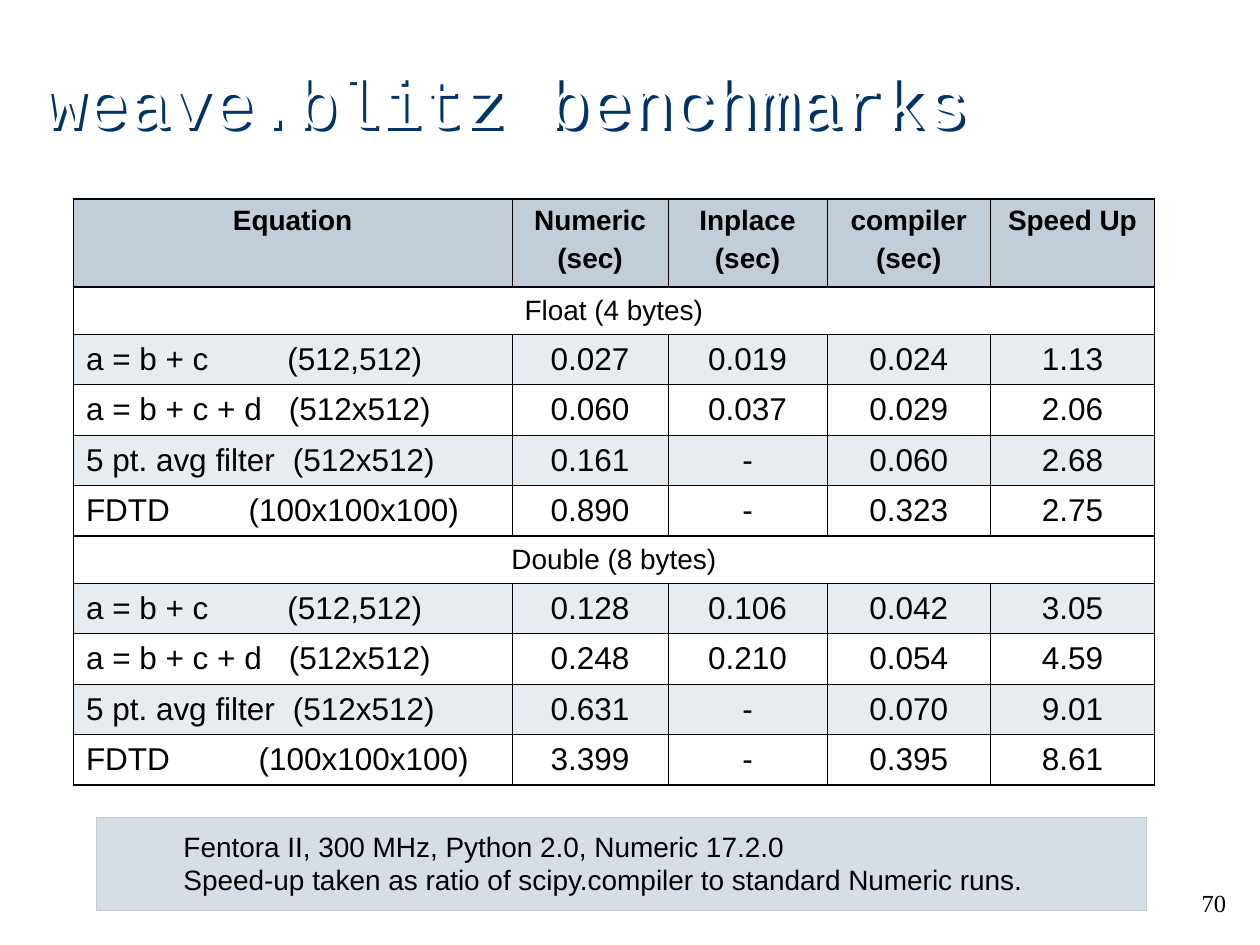
from lxml import etree
from pptx import Presentation
from pptx.dml.color import RGBColor
from pptx.enum.shapes import MSO_SHAPE
from pptx.enum.text import MSO_ANCHOR as Anchor, PP_ALIGN as Align
from pptx.oxml.ns import qn
from pptx.util import Cm, Pt

BLACK = RGBColor(0x00, 0x00, 0x00)
WHITE = RGBColor(0xFF, 0xFF, 0xFF)
NAVY = RGBColor(0x00, 0x33, 0x66)
STEEL = RGBColor(0xC1, 0xCE, 0xD7)
PALE = RGBColor(0xE7, 0xEC, 0xF0)

TITLE = "weave.blitz benchmarks"
HEAD = ["Equation", "Numeric\n(sec)", "Inplace\n(sec)", "compiler\n(sec)", "Speed Up"]
# Equation, array size, tab stop of the size in cm, then the four results
GROUPS = [
    ("Float (4 bytes)", [
        ("a = b + c", "(512,512)", 4.06, "0.027", "0.019", "0.024", "1.13"),
        ("a = b + c + d", "(512x512)", 4.09, "0.060", "0.037", "0.029", "2.06"),
        ("5 pt. avg filter", "(512x512)", 4.17, "0.161", "-", "0.060", "2.68"),
        ("FDTD", "(100x100x100)", 3.28, "0.890", "-", "0.323", "2.75"),
    ]),
    ("Double (8 bytes)", [
        ("a = b + c", "(512,512)", 4.06, "0.128", "0.106", "0.042", "3.05"),
        ("a = b + c + d", "(512x512)", 4.09, "0.248", "0.210", "0.054", "4.59"),
        ("5 pt. avg filter", "(512x512)", 4.17, "0.631", "-", "0.070", "9.01"),
        ("FDTD", "(100x100x100)", 3.48, "3.399", "-", "0.395", "8.61"),
    ]),
]
NOTE = ("Fentora II, 300 MHz, Python 2.0, Numeric 17.2.0\n"
        "Speed-up taken as ratio of scipy.compiler to standard Numeric runs.")
PAGE = "70"

COLS = [8.84, 3.15, 3.2, 3.3, 3.3]
HEAD_H, GROUP_H, ROW_H = 1.78, 0.94, 1.02
THIN, EDGE, RULE = 0.45, 1.08, 1.47


def style(frame, size, font="Arial", color=BLACK, align=Align.LEFT, bold=False):
    for i, para in enumerate(frame.paragraphs):
        para.alignment = align
        if i and align == Align.CENTER:
            para.space_before = Pt(4)
        for run in para.runs:
            run.font.size, run.font.name, run.font.bold = Pt(size), font, bold
            run.font.color.rgb = color


def add_text(slide, text, box, size, **look):
    shape = slide.shapes.add_textbox(*map(Cm, box))
    frame = shape.text_frame
    frame.word_wrap = True
    frame.text = text
    style(frame, size, **look)
    return shape


def add_shadow(shape, color):
    effects = etree.SubElement(shape._element.spPr, qn("a:effectLst"))
    shadow = etree.SubElement(effects, qn("a:outerShdw"), dist="36000",
                              dir="2700000", algn="ctr", rotWithShape="0")
    etree.SubElement(shadow, qn("a:srgbClr"), val=str(color))


def set_tab(para, pos):
    tabs = etree.SubElement(para._p.get_or_add_pPr(), qn("a:tabLst"))
    etree.SubElement(tabs, qn("a:tab"), pos=str(Cm(pos)), algn="l")


def set_border(cell, **widths):
    props = cell._tc.get_or_add_tcPr()
    for side in "LRTB":
        line = etree.SubElement(props, qn("a:ln" + side), w=str(Pt(widths[side])))
        fill = etree.SubElement(line, qn("a:solidFill"))
        etree.SubElement(fill, qn("a:srgbClr"), val=str(BLACK))


def add_table(slide):
    rows = [("head", HEAD)]
    for name, tests in GROUPS:
        rows.append(("group", [name] + [""] * 4))
        for i, (label, dims, tab, *values) in enumerate(tests):
            rows.append((("band", "plain")[i % 2], [f"{label}\t{dims}", *values], tab))
    heights = {"head": HEAD_H, "group": GROUP_H, "band": ROW_H, "plain": ROW_H}
    fills = {"head": STEEL, "band": PALE}
    kinds = [row[0] for row in rows]
    last = len(rows) - 1

    # Width of each horizontal rule, from the top edge to the bottom edge
    rules = [EDGE] + [RULE if "head" in pair or pair[1] == "group" else THIN
                      for pair in zip(kinds, kinds[1:])] + [EDGE]
    total = sum(heights[kind] for kind in kinds)
    table = slide.shapes.add_table(len(rows), len(COLS), Cm(1.48), Cm(4.01),
                                   Cm(sum(COLS)), Cm(total)).table
    table.first_row = table.horz_banding = False
    for col, width in zip(table.columns, COLS):
        col.width = Cm(width)

    for r, (kind, texts, *tab) in enumerate(rows):
        table.rows[r].height = Cm(heights[kind])
        for c, text in enumerate(texts):
            cell = table.cell(r, c)
            cell.text = text
            cell.vertical_anchor = Anchor.TOP if kind == "head" else Anchor.MIDDLE
            set_border(cell, L=THIN if c else EDGE,
                       R=EDGE if c == len(COLS) - 1 or kind == "group" else THIN,
                       T=rules[r], B=rules[r + 1])
            if kind in fills:
                cell.fill.solid()
                cell.fill.fore_color.rgb = fills[kind]
            else:
                cell.fill.background()
            if tab and c == 0:
                set_tab(cell.text_frame.paragraphs[0], tab[0])
            style(cell.text_frame, 18 if tab else 16, bold=kind == "head",
                  align=Align.LEFT if tab and c == 0 else Align.CENTER)
        if kind == "group":
            table.cell(r, 0).merge(table.cell(r, len(COLS) - 1))


def add_panel(slide):
    panel = slide.shapes.add_shape(MSO_SHAPE.RECTANGLE, Cm(1.95), Cm(16.48),
                                   Cm(21.16), Cm(1.88))
    panel.shadow.inherit = False
    panel.fill.solid()
    panel.fill.fore_color.rgb = STEEL
    color = panel._element.spPr.find(qn("a:solidFill"))[0]
    etree.SubElement(color, qn("a:alpha"), val="67000")
    panel.line.color.rgb = STEEL
    panel.line.width = Pt(0.75)


def main():
    deck = Presentation()
    deck.slide_width, deck.slide_height = Cm(25.4), Cm(19.05)
    slide = deck.slides.add_slide(deck.slide_layouts[6])

    title = add_text(slide, TITLE, (0.64, 0.43, 21.59, 3.18), 40,
                     font="Courier New", color=WHITE)
    title.text_frame.vertical_anchor = Anchor.MIDDLE
    add_shadow(title, NAVY)
    add_table(slide)
    add_panel(slide)
    add_text(slide, NOTE, (3.45, 16.59, 20.75, 1.6), 16)
    add_text(slide, PAGE, (19.69, 17.78, 5.28, 1.27), 14,
             font="Times New Roman", align=Align.RIGHT)
    deck.save("out.pptx")


if __name__ == "__main__":
    main()
